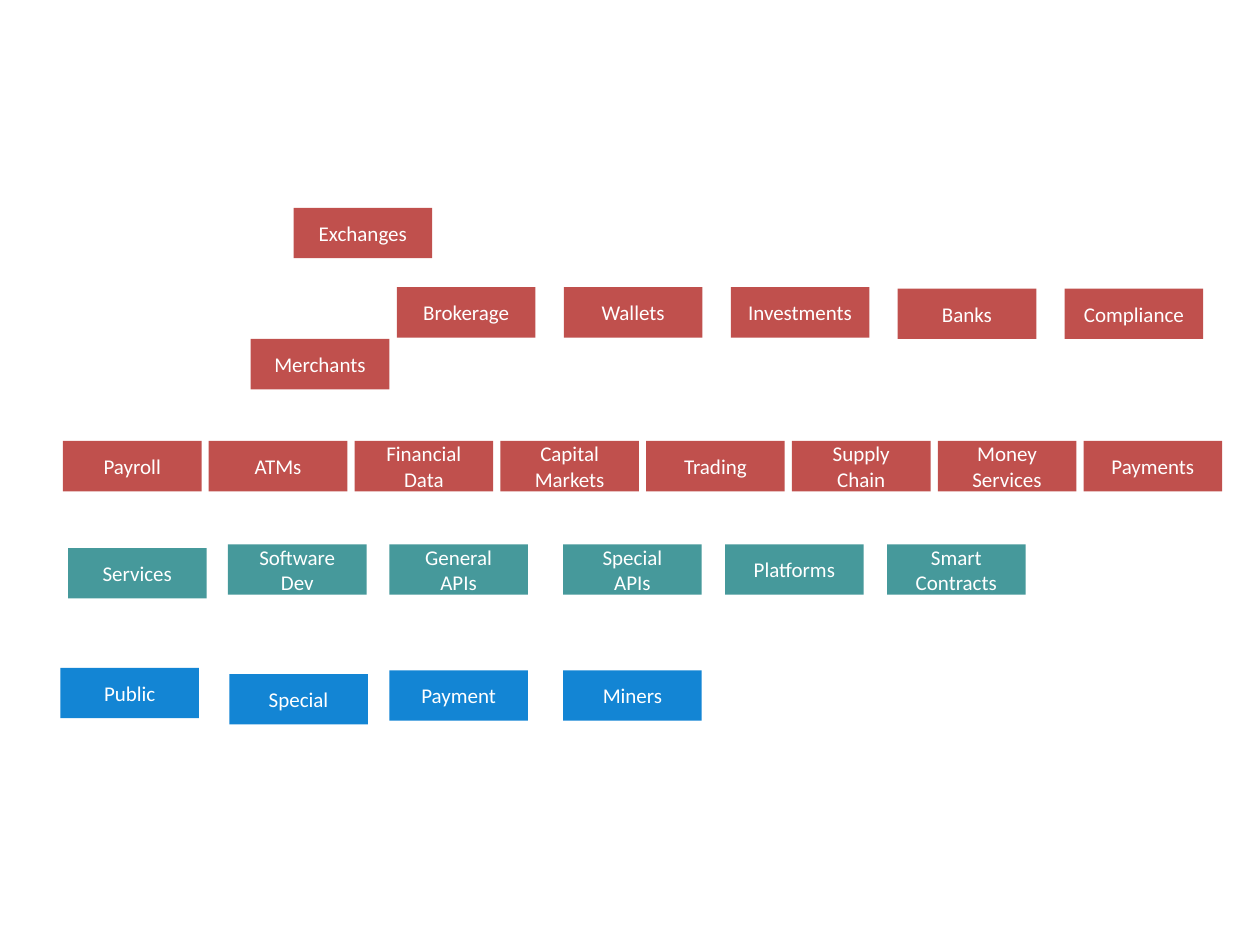
from pptx import Presentation
from pptx.dml.color import RGBColor
from pptx.enum.shapes import MSO_SHAPE
from pptx.enum.text import MSO_ANCHOR, PP_ALIGN
from pptx.util import Inches, Pt

COLORS = {"business": "C0504D", "middleware": "46999B", "network": "1385D4", "label": "FFFFFF"}

deck = Presentation()
deck.slide_width, deck.slide_height = Inches(10), Inches(7.5)
slide = deck.slides.add_slide(deck.slide_layouts[6])

column = deck.slide_width / 100
row = deck.slide_height / 75
box_width, box_height = 11 * column, 4 * row
market_step = 13.25
finance_step = (86 - 5) / 7

bands = [
    ("business", 23.3, 16.5, 0, ["Exchanges"]),
    ("business", 31.5, 22.8, market_step, ["Brokerage", "Wallets", "Investments"]),
    ("business", 31.5 + 3 * market_step, 22.9, market_step, ["Banks", "Compliance"]),
    ("business", 19.9, 26.9, 0, ["Merchants"]),
    ("business", 5, 35, finance_step,
     ["Payroll", "ATMs", "Financial\nData", "Capital\nMarkets", "Trading",
      "Supply\nChain", "Money\nServices", "Payments"]),
    ("middleware", 5.4, 43.5, 0, ["Services"]),
    ("middleware", 18.1, 43.2, 12.8, ["Software\nDev", "General\nAPIs"]),
    ("middleware", 44.7, 43.2, 12.85, ["Special\nAPIs", "Platforms", "Smart\nContracts"]),
    ("network", 4.8, 53, 0, ["Public"]),
    ("network", 18.2, 53.5, 0, ["Special"]),
    ("network", 30.9, 53.2, 13.8, ["Payment", "Miners"]),
]

for layer, left, top, step, sectors in bands:
    for position, sector in enumerate(sectors):
        box = slide.shapes.add_shape(
            MSO_SHAPE.RECTANGLE, round((left + position * step) * column),
            round(top * row), round(box_width), round(box_height))
        box.shadow.inherit = False
        box.fill.solid()
        box.fill.fore_color.rgb = RGBColor.from_string(COLORS[layer])
        box.line.fill.background()
        frame = box.text_frame
        frame.word_wrap = True
        frame.vertical_anchor = MSO_ANCHOR.MIDDLE
        frame.text = sector
        for paragraph in frame.paragraphs:
            paragraph.alignment = PP_ALIGN.CENTER
            for run in paragraph.runs:
                run.font.name = "Calibri"
                run.font.size = Pt(12)
                run.font.color.rgb = RGBColor.from_string(COLORS["label"])

deck.save("out.pptx")
